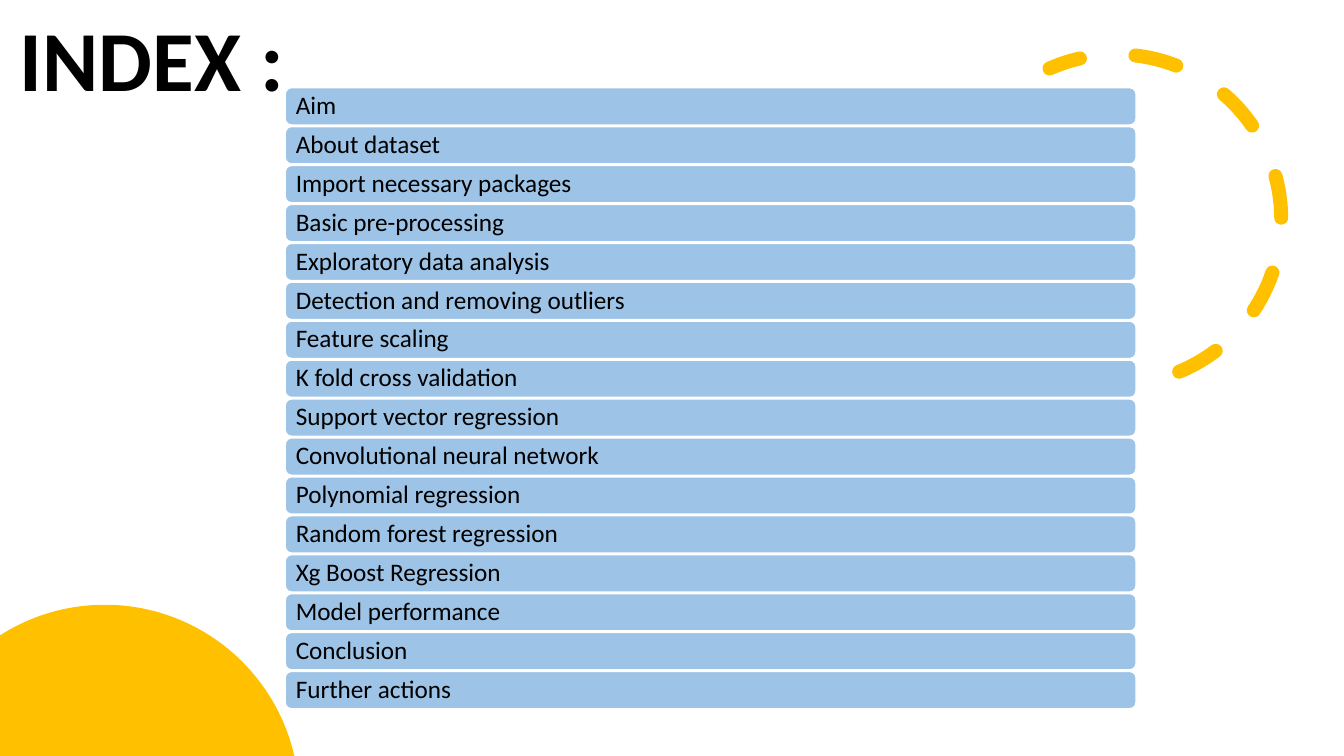
from math import acos, asin, cos, sin

from lxml import etree
from pptx import Presentation
from pptx.dml.color import RGBColor
from pptx.enum.dml import MSO_LINE
from pptx.enum.shapes import MSO_SHAPE
from pptx.enum.text import MSO_ANCHOR, MSO_AUTO_SIZE, PP_ALIGN
from pptx.util import Cm, Pt

ARC, ROUNDED = MSO_SHAPE.ARC, MSO_SHAPE.ROUNDED_RECTANGLE
DASH = MSO_LINE.DASH
MIDDLE, LEFT, NO_FIT = MSO_ANCHOR.MIDDLE, PP_ALIGN.LEFT, MSO_AUTO_SIZE.NONE

BLACK = RGBColor(0x00, 0x00, 0x00)
WHITE = RGBColor(0xFF, 0xFF, 0xFF)
AMBER = RGBColor(0xFF, 0xC0, 0x00)
SKY = RGBColor(0x9D, 0xC3, 0xE6)

SLIDE_WIDTH, SLIDE_HEIGHT = Cm(33.87), Cm(19.05)
TITLE_FONT = {"name": "Calibri", "size": Pt(61), "bold": True}
TOPIC_FONT = {"name": "Calibri", "size": Pt(18), "bold": False}
FRAME = {"vertical_anchor": MIDDLE, "auto_size": NO_FIT, "word_wrap": True}
PARAGRAPH = {"alignment": LEFT, "line_spacing": 0.9}
TOPIC_INSETS = {
    "margin_left": Cm(0.22),
    "margin_right": Cm(0.22),
    "margin_top": 0,
    "margin_bottom": 0,
}
TOPICS = [
    "Aim",
    "About dataset",
    "Import necessary packages",
    "Basic pre-processing",
    "Exploratory data analysis",
    "Detection and removing outliers",
    "Feature scaling",
    "K fold cross validation",
    "Support vector regression",
    "Convolutional neural network",
    "Polynomial regression",
    "Random forest regression",
    "Xg Boost Regression",
    "Model performance",
    "Conclusion",
    "Further actions",
]


def apply_format(target, values):
    """Set every attribute in values on target."""
    for attribute, value in values.items():
        setattr(target, attribute, value)


def write_text(holder, wording, font):
    """Put one formatted black line into holder."""
    frame = holder.text_frame
    frame.text = wording
    line = frame.paragraphs[0]
    apply_format(frame, FRAME)
    apply_format(line, PARAGRAPH)
    apply_format(line.runs[0].font, font)
    line.runs[0].font.color.rgb = BLACK


def add_heading(slide, left, top, width, height):
    """Move the title placeholder to the box and fill it."""
    heading = slide.shapes.title
    apply_format(heading, {"left": left, "top": top, "width": width, "height": height})
    write_text(heading, "INDEX :", TITLE_FONT)


def add_dashed_arc(slide, left, top, size):
    """Draw the round-capped dashed arc in a square box."""
    arc = slide.shapes.add_shape(ARC, left, top, size, size)
    arc.shadow.inherit = False
    arc.adjustments[0] = 144.42 * 0.6
    arc.adjustments[1] = 0
    arc.rotation = 66.1
    arc.fill.background()
    arc.line.color.rgb = AMBER
    apply_format(arc.line, {"width": Pt(10), "dash_style": DASH})
    properties = arc.element.spPr
    properties.xfrm.set("flipH", "1")
    etree.ElementBase.set(properties.ln, "cap", "rnd")


def add_corner_disc(slide, center_x, top, radius, bottom):
    """Draw the part of a disc that lies on the slide."""
    start = -asin(center_x / radius)
    end = acos((top + radius - bottom) / radius)
    steps = 90
    angles = [start + (end - start) * step / steps for step in range(steps + 1)]
    rim = [
        (center_x + radius * sin(angle), top + radius * (1 - cos(angle)))
        for angle in angles
    ]
    outline = slide.shapes.build_freeform(0, bottom)
    outline.add_line_segments(rim, close=True)
    disc = outline.convert_to_shape()
    disc.shadow.inherit = False
    disc.fill.solid()
    disc.fill.fore_color.rgb = AMBER
    disc.line.fill.background()


def add_topic_bars(slide, left, top, width, height):
    """Stack one bar per topic evenly in the box."""
    bar_height = Cm(0.94)
    pitch = (height - bar_height) / (len(TOPICS) - 1)
    for row, topic in enumerate(TOPICS):
        bar = slide.shapes.add_shape(
            ROUNDED, left, round(top + row * pitch), width, bar_height
        )
        bar.shadow.inherit = False
        bar.fill.solid()
        bar.fill.fore_color.rgb = SKY
        bar.line.color.rgb = WHITE
        bar.line.width = Pt(1)
        apply_format(bar.text_frame, TOPIC_INSETS)
        write_text(bar, topic, TOPIC_FONT)


def main():
    """Build and save the index slide."""
    deck = Presentation()
    apply_format(deck, {"slide_width": SLIDE_WIDTH, "slide_height": SLIDE_HEIGHT})
    slide = deck.slides.add_slide(deck.slide_layouts.get_by_name("Title Only"))
    add_heading(slide, Cm(0.25), Cm(0.38), Cm(15.16), Cm(2.46))
    add_dashed_arc(slide, Cm(23.98), Cm(1.37), Cm(8.31))
    add_corner_disc(slide, Cm(2.64), Cm(15.24), Cm(4.9), SLIDE_HEIGHT)
    add_topic_bars(slide, Cm(7.19), Cm(2.21), Cm(21.44), Cm(15.65))
    deck.save("out.pptx")


if __name__ == "__main__":
    main()
